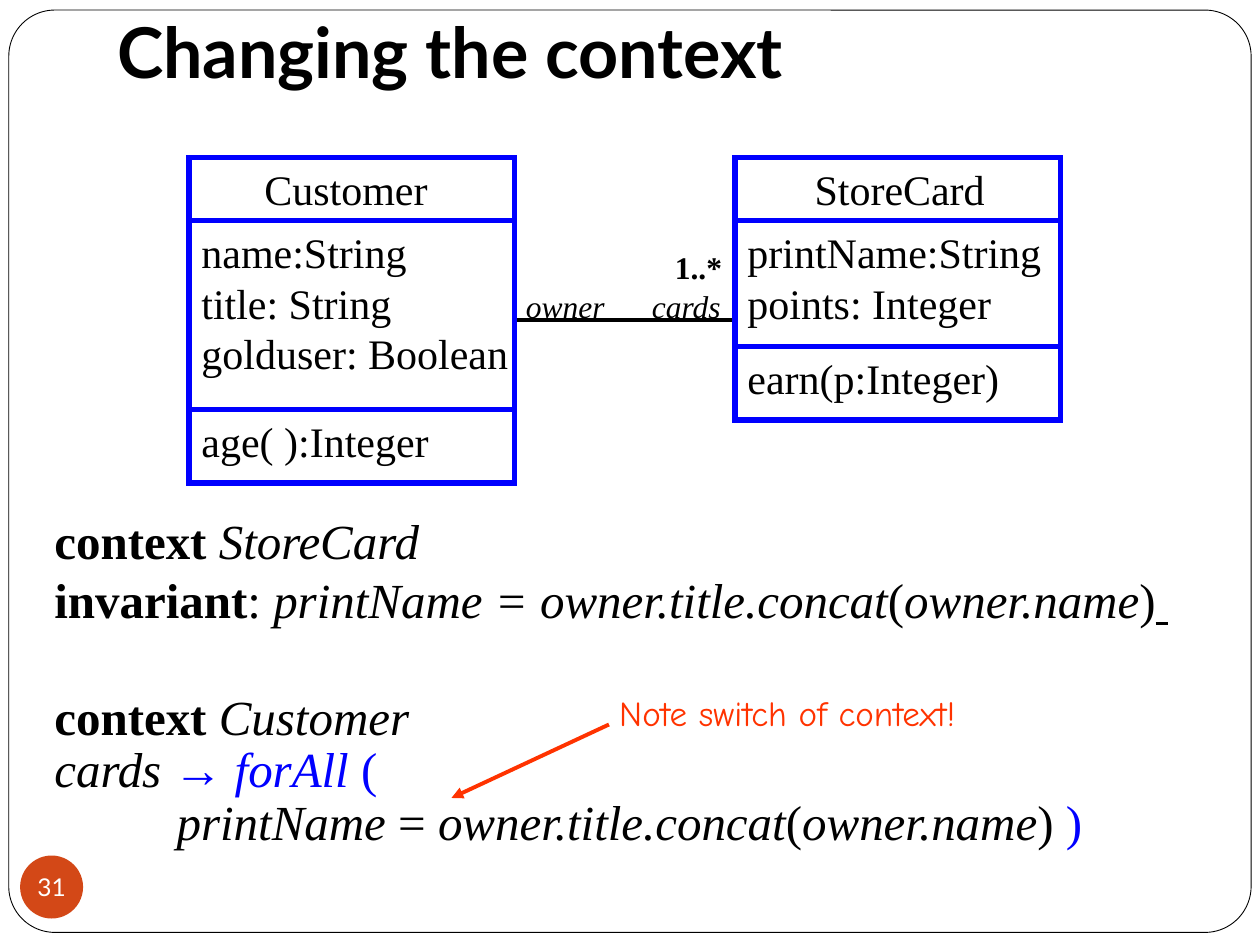
from pptx import Presentation
from pptx.dml.color import RGBColor
from pptx.enum.shapes import MSO_CONNECTOR as Link, MSO_SHAPE as Form
from pptx.enum.text import MSO_ANCHOR as Anchor, MSO_AUTO_SIZE as Fit, PP_ALIGN as Align
from pptx.util import Inches, Pt
from lxml.etree import SubElement
from pptx.oxml.ns import qn

BLACK = RGBColor(0, 0, 0)
WHITE = RGBColor(255, 255, 255)
BLUE = RGBColor(0, 0, 255)
RED = RGBColor(255, 51, 0)
RUST = RGBColor(0xD3, 0x48, 0x17)
SERIF, SANS, HAND = "Times New Roman", "Lato", "Comic Neue"


class Page:
    """Slide on a grid of 120 columns by 90 rows."""

    def __init__(self, deck):
        deck.slide_width, deck.slide_height = Inches(10), Inches(7.5)
        self.slide = deck.slides.add_slide(deck.slide_layouts[6])
        self.col = deck.slide_width / 120
        self.row = deck.slide_height / 90

    def spot(self, x, y):
        return round(x * self.col), round(y * self.row)

    def style(self, font, size, color=BLACK, face=SERIF, bold=None, italic=None):
        font.name, font.size, font.color.rgb = face, Pt(size), color
        font.bold, font.italic = bold, italic

    def shape(self, form, x, y, w, h, fill=None, line=None, width=3):
        item = self.slide.shapes.add_shape(form, *self.spot(x, y), *self.spot(w, h))
        item.shadow.inherit = False
        if fill is None:
            item.fill.background()
        else:
            item.fill.solid()
            item.fill.fore_color.rgb = fill
        if line is None:
            item.line.fill.background()
        else:
            item.line.color.rgb, item.line.width = line, Pt(width)
            # Sharp corners
            SubElement(item.line._get_or_add_ln(), qn("a:miter"), lim="800000")
        return item

    def text(self, x, y, w, h, lines, size=24, wrap=False, **look):
        box = self.slide.shapes.add_textbox(*self.spot(x, y), *self.spot(w, h))
        frame = box.text_frame
        frame.word_wrap, frame.auto_size = wrap, Fit.SHAPE_TO_FIT_TEXT
        for i, line in enumerate(lines):
            par = frame.add_paragraph() if i else frame.paragraphs[0]
            self.style(par.font, size, **look)
            # A line is plain text or a list of (text, marks) runs
            for words, marks in [(line, "")] if isinstance(line, str) else line:
                run = par.add_run()
                run.text = words
                self.style(run.font, size, **look)
                if "b" in marks:
                    run.font.bold = True
                if "i" in marks:
                    run.font.italic = True
                if "u" in marks:
                    run.font.underline = True
                if "c" in marks:
                    run.font.color.rgb = BLUE
        return frame

    def line(self, start, end, color, arrow=False):
        item = self.slide.shapes.add_connector(
            Link.STRAIGHT, *self.spot(*start), *self.spot(*end))
        item.line.color.rgb, item.line.width = color, Pt(2.25)
        if arrow:
            SubElement(item.line._get_or_add_ln(), qn("a:tailEnd"), type="triangle")
        SubElement(item._element.spPr, qn("a:effectLst"))

    def model(self, x, parts):
        """UML class: stacked parts of (height, text inset, text width, lines)."""
        y = 15
        for high, inset, wide, lines in parts:
            self.shape(Form.RECTANGLE, x, y, 31, high, line=BLUE)
            self.text(x + inset, y, wide, 1.2 + 4.8 * len(lines), lines)
            y += high


def main():
    deck = Presentation()
    page = Page(deck)

    # Frame and page number
    frame = page.shape(Form.ROUNDED_RECTANGLE, 0.84, 0.96, 118.32, 87.84,
                       WHITE, BLACK, 0.5)
    frame.adjustments[0] = 0.05
    badge = page.shape(Form.OVAL, 1.92, 81.48, 6, 6, RUST).text_frame
    badge.margin_left = badge.margin_right = badge.margin_top = badge.margin_bottom = 0
    badge.word_wrap, badge.vertical_anchor = False, Anchor.MIDDLE
    par = badge.paragraphs[0]
    par.text, par.alignment = "31", Align.CENTER
    page.style(par.font, 14, WHITE, SANS)

    # Title
    title = page.text(10, -5, 102, 15, ["Changing the context"], 40, True,
                      face=SANS, bold=True)
    title.auto_size, title.vertical_anchor = Fit.NONE, Anchor.BOTTOM
    title.margin_bottom = Inches(0.1)

    # Constraints
    chain = [("owner.title.concat", "i"), ("(", ""), ("owner.name", "i")]
    rules = page.text(4, 48, 112, 37.3, [
        [("context ", "b"), ("StoreCard", "i")],
        [("invariant", "b"), (": ", ""), ("printName = ", "i"), *chain,
         (")", ""), (" ", "u")],
        [("context ", "b"), ("Customer", "i")],
        [("cards ", "i"), ("→ forAll", "ic"), (" (", "c")],
        [("printName", "i"), (" = ", ""), *chain, (") ", ""), (")", "c")],
    ], 28, True)
    switch, loop, body = rules.paragraphs[2:]
    switch.space_before = Pt(33.5)
    loop.line_spacing = body.line_spacing = 0.9
    body._p.get_or_add_pPr().set("marL", str(Inches(0.97)))

    # Classes
    page.model(18, [
        (6, 6, 18, ["Customer"]),
        (18, 0, 33, ["name:String", "title: String", "golduser: Boolean"]),
        (7, 0, 26, ["age( ):Integer"]),
    ])
    page.model(70, [
        (6, 6.4, 19, ["StoreCard"]),
        (12, 0, 31, ["printName:String", "points: Integer"]),
        (7, 0, 27, ["earn(p:Integer)"]),
    ])

    # Association
    page.line((49.2, 30.5), (69.7, 30.5), BLACK)
    page.text(63.1, 23, 7, 4.8, ["1..*"], 18, bold=True)
    page.text(48.9, 26.7, 10.2, 4.8, ["owner"], 18, italic=True)
    page.text(60.9, 26.7, 9.2, 4.8, ["cards"], 18, italic=True)

    # Note
    page.line((58, 69), (43, 76), RED, arrow=True)
    page.text(57.8, 65.3, 39.6, 5.2, ["Note switch of context!"], 20,
              color=RED, face=HAND)

    deck.save("out.pptx")


if __name__ == "__main__":
    main()
